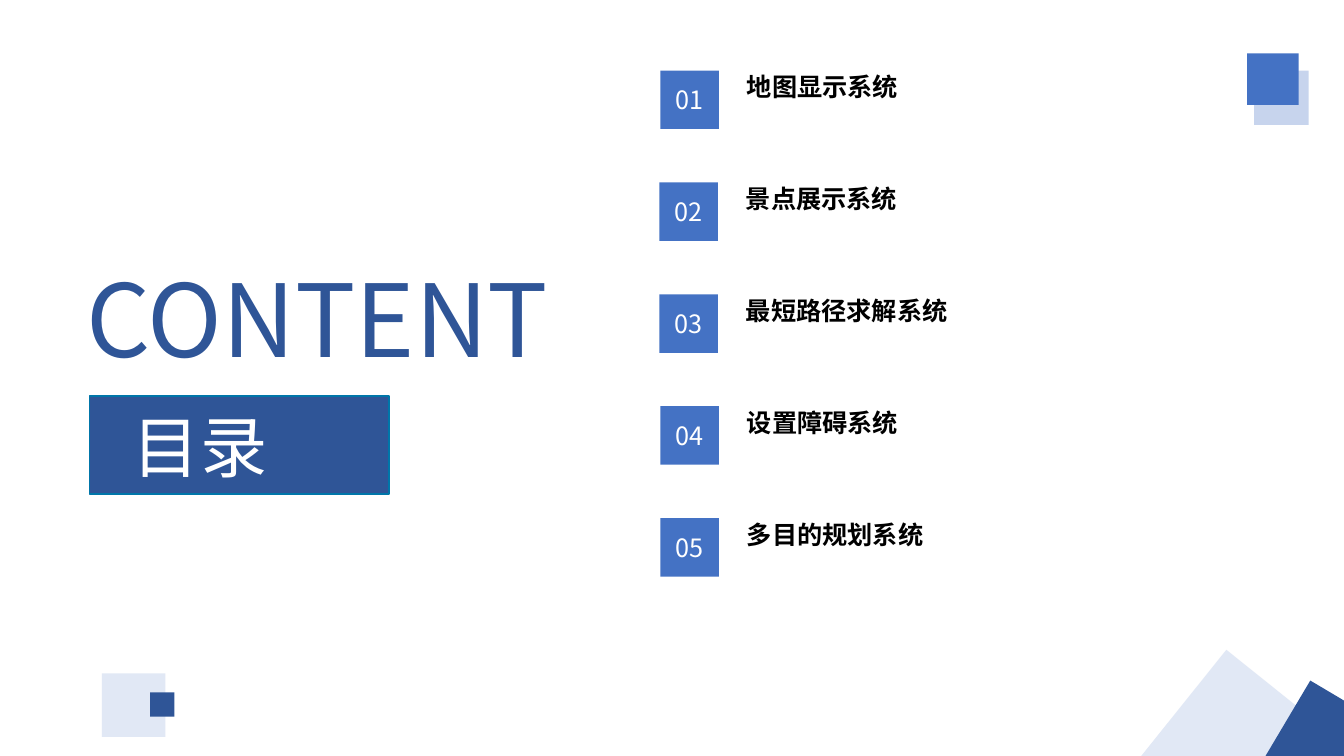
"""Builds a contents slide with five numbered entries and corner squares."""
from pptx import Presentation
from pptx import util as u
from pptx.dml.color import RGBColor
from pptx.enum import shapes, text
from pptx.oxml import xmlchemy

NAVY = RGBColor(0x2F, 0x55, 0x97)
BLUE = RGBColor(0x44, 0x72, 0xC4)
PALE = RGBColor(0xC7, 0xD4, 0xED)
TEAL = RGBColor(0x00, 0x76, 0xA9)
WHITE = RGBColor(0xFF, 0xFF, 0xFF)
BLACK = RGBColor(0, 0, 0)


class ContentsSlide:
    font = "Noto Sans CJK SC"

    def __init__(self, slide):
        self.slide = slide

    def set_wording(self, frame, wording, size, color, bold=False, align=None):
        frame.text = wording
        paragraph = frame.paragraphs[0]
        paragraph.alignment = align
        run = paragraph.runs[0]
        run.font.name = self.font
        run.font.size = u.Pt(size)
        run.font.color.rgb = color
        run.font.bold = bold
        east_asian = xmlchemy.OxmlElement("a:ea")
        east_asian.set("typeface", self.font)
        run.font._element.find("{*}latin").addnext(east_asian)
        return paragraph

    def box(self, left, top, width, height, color, rotation=0, alpha=None, line=None):
        shape = self.slide.shapes.add_shape(
            shapes.MSO_SHAPE.RECTANGLE,
            u.Inches(left), u.Inches(top), u.Inches(width), u.Inches(height))
        shape.shadow.inherit = False
        shape.rotation = rotation
        shape.fill.solid()
        shape.fill.fore_color.rgb = color
        if alpha:
            opacity = xmlchemy.OxmlElement("a:alpha")
            opacity.set("val", str(alpha * 1000))
            shape._element.spPr.find("{*}solidFill")[0].append(opacity)
        if line:
            shape.line.color.rgb = line
            shape.line.width = u.Pt(1)
        else:
            shape.line.fill.background()
        return shape

    def label(self, left, top, width, height, wording, size, color, bold=False, align=None):
        area = self.slide.shapes.add_textbox(
            u.Inches(left), u.Inches(top), u.Inches(width), u.Inches(height))
        area.text_frame.word_wrap = True
        area.text_frame.auto_size = text.MSO_AUTO_SIZE.SHAPE_TO_FIT_TEXT
        return self.set_wording(area.text_frame, wording, size, color, bold, align)

    def entry(self, number, left, top, wording):
        badge = self.box(left, top, 0.58, 0.58, BLUE)
        badge.text_frame.vertical_anchor = text.MSO_ANCHOR.MIDDLE
        self.set_wording(badge.text_frame, f"{number:02}", 18, WHITE, align=text.PP_ALIGN.CENTER)
        self.label(left + 0.76, top - 0.04, 2.81, 0.4, wording, 18, BLACK, bold=True)


def main():
    deck = Presentation()
    deck.slide_width, deck.slide_height = u.Inches(13.33), u.Inches(7.5)
    contents = ContentsSlide(deck.slides.add_slide(deck.slide_layouts[6]))

    contents.box(0.89, 3.93, 2.97, 0.97, NAVY, line=TEAL)
    justify = text.PP_ALIGN.JUSTIFY
    heading = contents.label(0.76, 2.63, 5.26, 1.19, "CONTENT", 72, NAVY, align=justify)
    heading.line_spacing = 0.9
    contents.label(1.22, 3.97, 2.25, 0.91, "目录", 48, WHITE, align=justify)

    entries = [
        (6.55, "地图显示系统"),
        (6.54, "景点展示系统"),
        (6.54, "最短路径求解系统"),
        (6.55, "设置障碍系统"),
        (6.55, "多目的规划系统"),
    ]
    for index, (left, wording) in enumerate(entries):
        contents.entry(index + 1, left, 0.7 + 1.11 * index, wording)

    corner_squares = [
        (12.44, 0.7, 0.54, PALE, 0, None),
        (11.53, 6.75, 1.5, PALE, 308.7, 53),
        (1.01, 6.68, 0.63, PALE, 0, 53),
        (1.49, 6.87, 0.24, NAVY, 0, None),
        (12.37, 0.53, 0.51, BLUE, 0, None),
        (12.7, 6.92, 0.91, NAVY, 300.7, None),
    ]
    for left, top, side, color, rotation, alpha in corner_squares:
        contents.box(left, top, side, side, color, rotation, alpha)

    deck.save("out.pptx")


if __name__ == "__main__":
    main()
